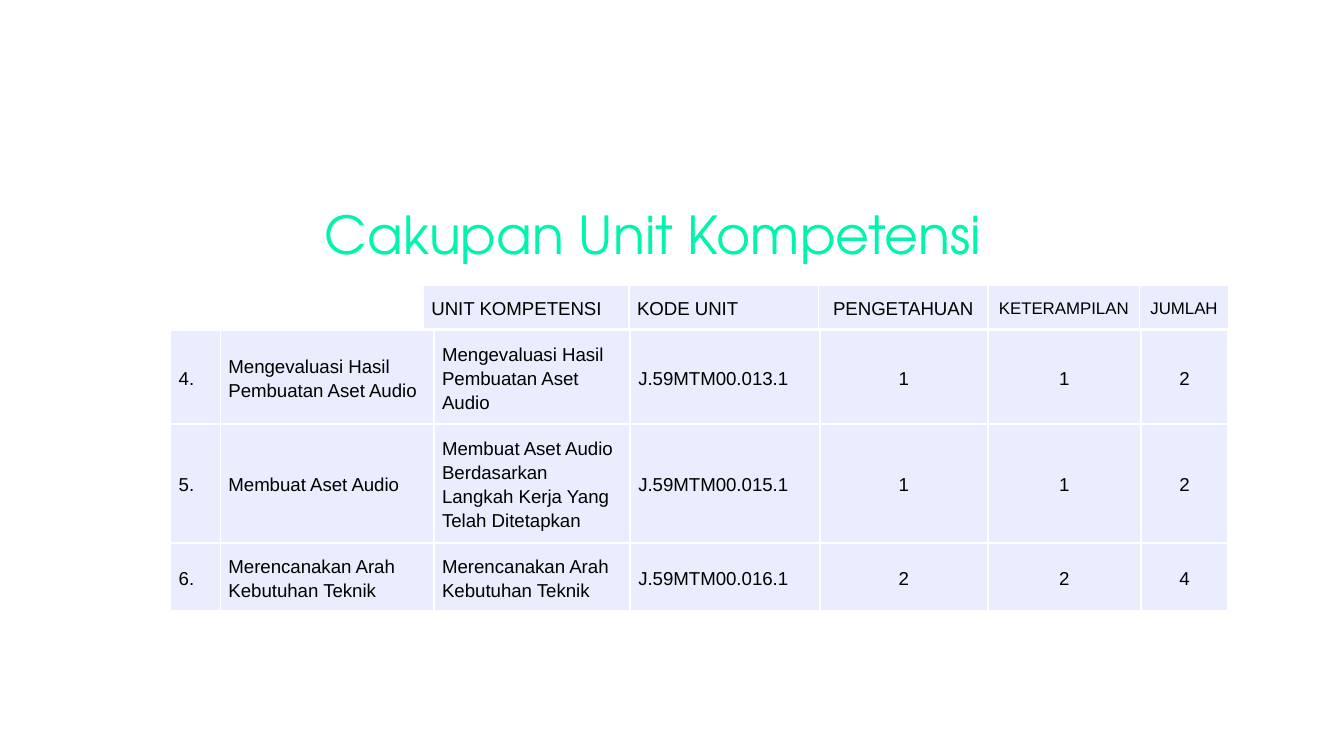
from dataclasses import dataclass

from lxml.etree import SubElement
from pptx import Presentation
from pptx.dml.color import RGBColor as RGB
from pptx.enum.text import MSO_ANCHOR as Anchor, PP_ALIGN as Align
from pptx.oxml.ns import qn
from pptx.util import Inches, Pt

COLORS = {"title": "00F4AD", "text": "000000", "cell": "E9EDFD", "border": "FFFFFF"}


@dataclass
class Grid:
    left: float
    top: float
    widths: list[float]
    heights: list[float]
    rows: list[list[str]]
    centered_from: int  # first column with centred text
    spacing: float
    small_from: int = 99  # first column with 9 pt text


def write(tf, text: str, *, size: float, font: str = "Arial", color: str = "text",
          align=Align.LEFT, spacing: float = 1.0, inset: float = 0.06) -> None:
    """Put one formatted paragraph into a text frame."""
    tf.word_wrap = True
    tf.margin_left = tf.margin_right = tf.margin_top = tf.margin_bottom = Inches(inset)
    p = tf.paragraphs[0]
    p.alignment = align
    p.line_spacing = spacing
    r = p.add_run()
    r.text = text
    r.font.size = Pt(size)
    r.font.name = font
    r.font.color.rgb = RGB.from_string(COLORS[color])


def add_borders(cell) -> None:
    """Draw a 1 pt line on each side; lines must precede the fill in tcPr."""
    tc_pr = cell._tc.get_or_add_tcPr()
    for side in ("a:lnL", "a:lnR", "a:lnT", "a:lnB"):
        ln = SubElement(tc_pr, qn(side), w=str(Pt(1)))
        fill = SubElement(ln, qn("a:solidFill"))
        SubElement(fill, qn("a:srgbClr"), val=COLORS["border"])


def add_grid(slide, grid: Grid) -> None:
    table = slide.shapes.add_table(
        len(grid.rows), len(grid.widths), Inches(grid.left), Inches(grid.top),
        Inches(sum(grid.widths)), Inches(sum(grid.heights))).table
    table.first_row = table.horz_banding = False
    for column, width in zip(table.columns, grid.widths):
        column.width = Inches(width)
    for row, height, texts in zip(table.rows, grid.heights, grid.rows):
        row.height = Inches(height)
        for i, (cell, text) in enumerate(zip(row.cells, texts)):
            write(cell.text_frame, text, size=9 if i >= grid.small_from else 10,
                  align=Align.CENTER if i >= grid.centered_from else Align.LEFT,
                  spacing=grid.spacing)
            cell.margin_left = cell.margin_right = Inches(0.06)
            cell.margin_top = cell.margin_bottom = Inches(0.06)
            cell.vertical_anchor = Anchor.MIDDLE
            add_borders(cell)
            cell.fill.solid()
            cell.fill.fore_color.rgb = RGB.from_string(COLORS["cell"])


HEADER = Grid(
    3.15, 2.12, [1.53, 1.41, 1.26, 1.13, 0.66], [0.33],
    [["UNIT KOMPETENSI", "KODE UNIT", "PENGETAHUAN", "KETERAMPILAN", "JUMLAH"]],
    centered_from=2, spacing=1.16, small_from=3)

UNITS = Grid(
    1.27, 2.46, [0.37, 1.59, 1.46, 1.41, 1.25, 1.14, 0.65], [0.66, 0.84, 0.48],
    [["4.", "Mengevaluasi Hasil Pembuatan Aset Audio",
      "Mengevaluasi Hasil Pembuatan Aset Audio", "J.59MTM00.013.1", "1", "1", "2"],
     ["5.", "Membuat Aset Audio",
      "Membuat Aset Audio Berdasarkan Langkah Kerja Yang Telah Ditetapkan",
      "J.59MTM00.015.1", "1", "1", "2"],
     ["6.", "Merencanakan Arah Kebutuhan Teknik",
      "Merencanakan Arah Kebutuhan Teknik", "J.59MTM00.016.1", "2", "2", "4"]],
    centered_from=4, spacing=1.15)


def main() -> None:
    prs = Presentation()
    prs.slide_width = Inches(10)
    prs.slide_height = Inches(10) * 9 // 16
    s = prs.slides.add_slide(prs.slide_layouts[6])

    # Title
    title = s.shapes.add_textbox(Inches(2.32), Inches(1.35), Inches(5.23), Inches(0.72))
    title.text_frame.vertical_anchor = Anchor.BOTTOM
    write(title.text_frame, "Cakupan Unit Kompetensi", size=28,
          font="TeX Gyre Adventor", color="title", inset=0.1)

    # Column headings and competency units
    for grid in (HEADER, UNITS):
        add_grid(s, grid)

    prs.save("out.pptx")


if __name__ == "__main__":
    main()
